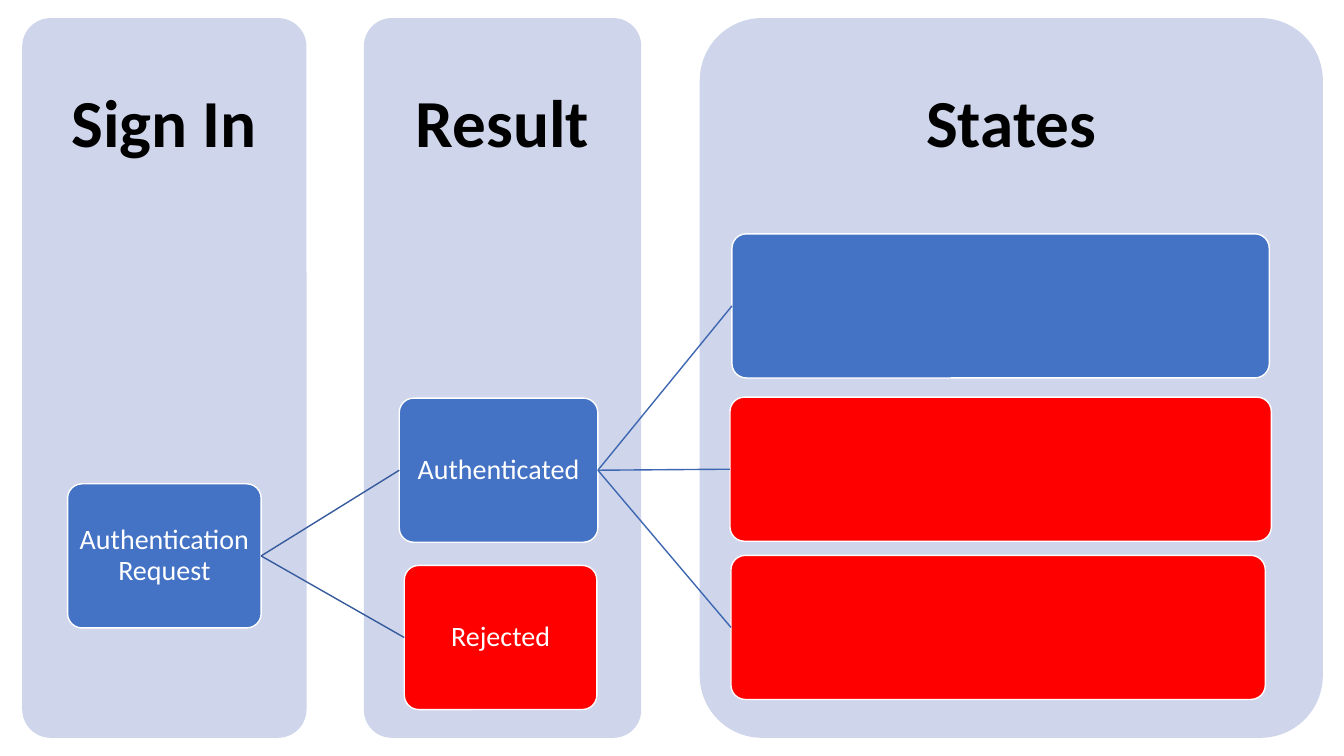
from pptx import Presentation
from pptx.dml.color import RGBColor
from pptx.enum.shapes import MSO_CONNECTOR, MSO_SHAPE
from pptx.enum.text import MSO_ANCHOR, PP_ALIGN
from pptx.oxml.ns import qn
from pptx.util import Inches, Pt
from lxml.etree import SubElement

BLACK = RGBColor(0x00, 0x00, 0x00)
WHITE = RGBColor(0xFF, 0xFF, 0xFF)
PANEL = RGBColor(0xCF, 0xD5, 0xEA)
BLUE = RGBColor(0x44, 0x72, 0xC4)
RED = RGBColor(0xFF, 0x00, 0x00)
REQUEST_LINE = RGBColor(0x36, 0x5B, 0x9D)
STATE_LINE = RGBColor(0x3E, 0x67, 0xB2)

LEFT_SITE, RIGHT_SITE = 1, 3
PANEL_TOP, PANEL_HEIGHT, HEADING_HEIGHT = 0.18, 7.14, 2.14
NODE_HEIGHT = 1.43


class FlowSlide:
    font = "Calibri"
    corner = 0.1

    def __init__(self, page):
        self.shapes = page.shapes

    def label(self, shape, text, size, color, inset, bold=False):
        frame = shape.text_frame
        frame.word_wrap = True
        frame.vertical_anchor = MSO_ANCHOR.MIDDLE
        frame.margin_left = frame.margin_right = Inches(inset)
        frame.margin_top = frame.margin_bottom = Inches(inset)
        frame.text = text
        para = frame.paragraphs[0]
        para.alignment = PP_ALIGN.CENTER
        para.line_spacing = 0.9
        for span in para.runs:
            span.font.name = self.font
            span.font.size = Pt(size)
            span.font.bold = bold
            span.font.color.rgb = color

    def rounded(self, left, top, width, height, fill):
        box = self.shapes.add_shape(
            MSO_SHAPE.ROUNDED_RECTANGLE,
            Inches(left), Inches(top), Inches(width), Inches(height))
        box.adjustments[0] = self.corner
        box.shadow.inherit = False
        box.fill.solid()
        box.fill.fore_color.rgb = fill
        box.line.fill.background()
        return box

    def panel(self, heading, left, width):
        self.rounded(left, PANEL_TOP, width, PANEL_HEIGHT, PANEL)
        box = self.shapes.add_textbox(
            Inches(left), Inches(PANEL_TOP), Inches(width), Inches(HEADING_HEIGHT))
        self.label(box, heading, 48, BLACK, 0.37, bold=True)

    def node(self, left, top, width, fill, text=""):
        box = self.rounded(left, top, width, NODE_HEIGHT, fill)
        box.line.color.rgb = WHITE
        box.line.width = Pt(1)
        if text:
            self.label(box, text, 20, WHITE, 0.05)
        return box

    def link(self, source, target, color):
        line = self.shapes.add_connector(MSO_CONNECTOR.STRAIGHT, 0, 0, 0, 0)
        line.begin_connect(source, RIGHT_SITE)
        line.end_connect(target, LEFT_SITE)
        line.line.color.rgb = color
        line.line.width = Pt(1)
        SubElement(line.element.find(qn("p:spPr")), qn("a:effectLst"))


deck = Presentation()
deck.slide_width, deck.slide_height = Inches(13.33), Inches(7.5)
flow = FlowSlide(deck.slides.add_slide(deck.slide_layouts[6]))

# Column panels with headings
for heading, left, width in [("Sign In", 0.22, 2.82),
                             ("Result", 3.61, 2.75),
                             ("States", 6.94, 6.18)]:
    flow.panel(heading, left, width)

# Sign-in request and its results
request = flow.node(0.67, 4.8, 1.92, BLUE, "Authentication Request")
authenticated = flow.node(3.96, 3.95, 1.97, BLUE, "Authenticated")
rejected = flow.node(4.01, 5.61, 1.91, RED, "Rejected")
for result in (authenticated, rejected):
    flow.link(request, result, REQUEST_LINE)

# States that follow a successful sign-in
for left, top, width, fill in [(7.26, 2.32, 5.33, BLUE),
                               (7.24, 3.94, 5.37, RED),
                               (7.25, 5.51, 5.3, RED)]:
    state = flow.node(left, top, width, fill)
    flow.link(authenticated, state, STATE_LINE)

deck.save("out.pptx")
